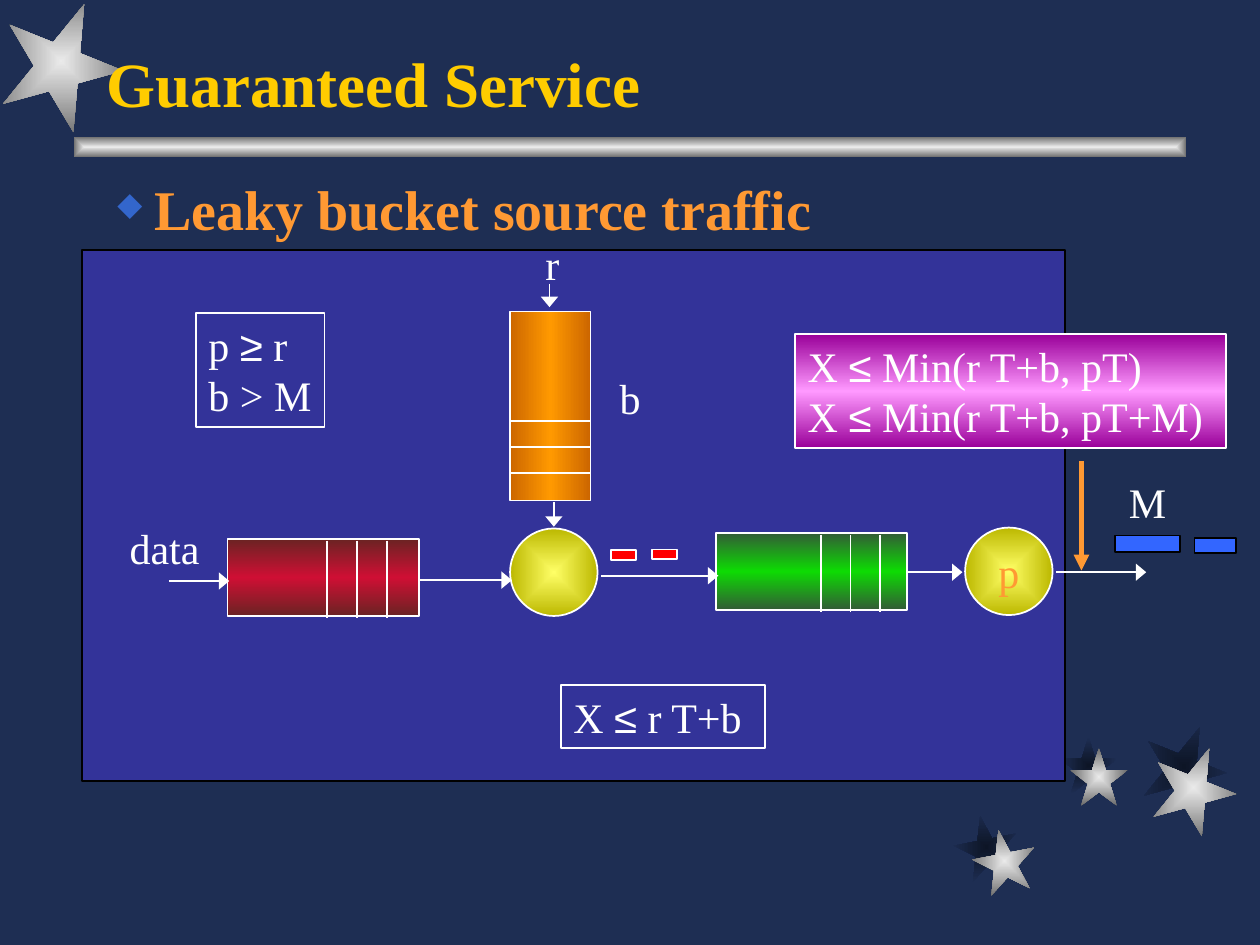
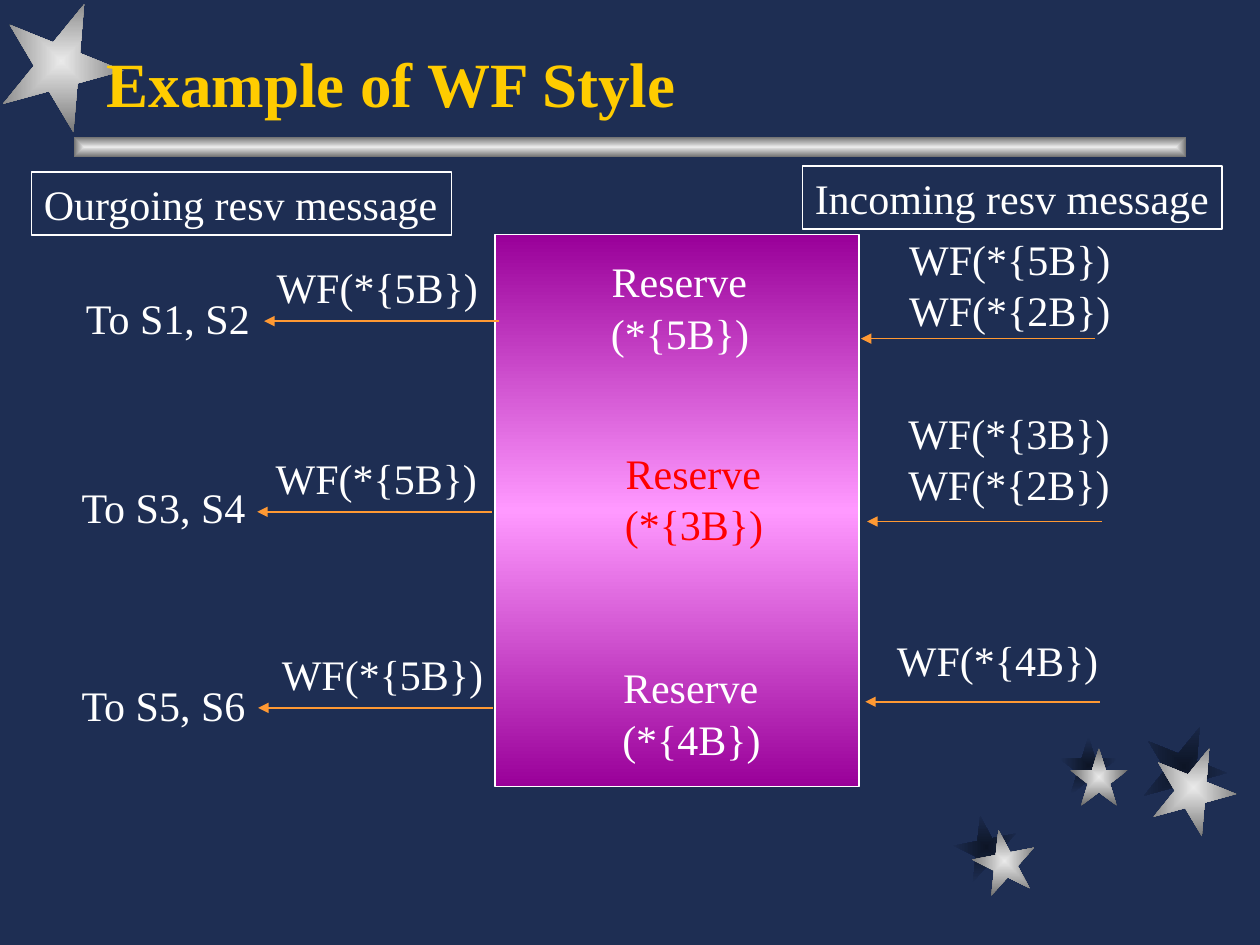
from itertools import groupby

from lxml import etree
from pptx import Presentation
from pptx.dml.color import RGBColor
from pptx.enum.shapes import MSO_CONNECTOR, MSO_SHAPE
from pptx.enum.text import MSO_ANCHOR, MSO_AUTO_SIZE, PP_ALIGN
from pptx.oxml import parse_xml
from pptx.oxml.ns import nsdecls, qn
from pptx.util import Pt

RECT, OVAL, STAR = MSO_SHAPE.RECTANGLE, MSO_SHAPE.OVAL, MSO_SHAPE.STAR_5_POINT
STRAIGHT = MSO_CONNECTOR.STRAIGHT
TOP, MIDDLE, BOTTOM = MSO_ANCHOR.TOP, MSO_ANCHOR.MIDDLE, MSO_ANCHOR.BOTTOM
LEFT, CENTER = PP_ALIGN.LEFT, PP_ALIGN.CENTER
GROW = MSO_AUTO_SIZE.SHAPE_TO_FIT_TEXT

NAVY, WHITE, BLACK = "1E2E53", "FFFFFF", "000000"
GOLD, ORANGE, RED, BLUE = "FFCC00", "FF9933", "FF0000", "3366FF"
SILVER, SHADE = ["EAEAEA", "6B6B6B"], ["0D1526", NAVY]
YELLOW = ["FFFF66", "BCB800"]
PURPLE = ["990099", "FF99FF", "990099"]
SERIF, SANS = "Times New Roman", "Arial"
SYMBOLS = "≤≥"


def rgb(color):
    return RGBColor.from_string(color)


def blend(item, colors, angle=None):
    """Gradient fill: linear at an angle, or from the centre out."""
    stops = "".join(
        f'<a:gs pos="{100000 * i // (len(colors) - 1)}"><a:srgbClr val="{c}"/></a:gs>'
        for i, c in enumerate(colors))
    if angle is None:
        way = ('<a:path path="rect"><a:fillToRect l="50000" t="50000" '
               'r="50000" b="50000"/></a:path>')
    else:
        way = f'<a:lin ang="{angle * 60000}" scaled="1"/>'
    item.fill.gradient()
    props = item._element.spPr
    props.replace(props.find(qn("a:gradFill")), parse_xml(
        f'<a:gradFill rotWithShape="0" {nsdecls("a")}><a:gsLst>{stops}</a:gsLst>{way}</a:gradFill>'))


def shape(slide, kind, box, fill=None, edge=None, angle=None, turn=0):
    item = slide.shapes.add_shape(kind, *map(Pt, box))
    item.shadow.inherit = False
    item.rotation = turn
    if fill is None:
        item.fill.background()
    elif isinstance(fill, list):
        blend(item, fill, angle)
    else:
        item.fill.solid()
        item.fill.fore_color.rgb = rgb(fill)
    if edge:
        item.line.color.rgb = rgb(edge)
        item.line.width = Pt(1)
    else:
        item.line.fill.background()
    return item


def write(item, lines, size=24, color=WHITE, bold=False, wrap=False,
          anchor=TOP, align=LEFT):
    frame = item.text_frame
    frame.word_wrap = wrap
    frame.vertical_anchor = anchor
    if anchor == TOP and not wrap:
        frame.auto_size = GROW
    for i, line in enumerate(lines):
        para = frame.add_paragraph() if i else frame.paragraphs[0]
        para.alignment = align
        for sign, part in groupby(line, lambda c: c in SYMBOLS):
            run = para.add_run()
            run.text = "".join(part)
            run.font.name = SANS if sign else SERIF
            run.font.size = Pt(size)
            run.font.bold = bold
            run.font.color.rgb = rgb(color)
    return frame


def label(slide, box, *lines, **style):
    return write(slide.shapes.add_textbox(*map(Pt, box)), lines, **style)


def frame_label(slide, box, *lines, fill=None, angle=None):
    write(shape(slide, RECT, box, fill, WHITE, angle), lines)


def line(slide, x1, y1, x2, y2, color=WHITE, width=1, tip=None, span="med"):
    item = slide.shapes.add_connector(STRAIGHT, Pt(x1), Pt(y1), Pt(x2), Pt(y2))
    item.line.color.rgb = rgb(color)
    item.line.width = Pt(width)
    if tip:
        etree.SubElement(item.line._get_or_add_ln(), qn(f"a:{tip}"),
                         type="triangle", w=span, len="med")
    etree.SubElement(item._element.spPr, qn("a:effectLst"))


def base(deck, title):
    """Background, stars, bar and title that every slide has."""
    slide = deck.slides.add_slide(deck.slide_layouts[6])
    slide.background.fill.solid()
    slide.background.fill.fore_color.rgb = rgb(NAVY)
    stars = [(SHADE, 545.5, 466, 36, 349), (SHADE, 605.5, 421, 33, 0),
             (SHADE, 652.5, 414, 48, 22), (SILVER, 556, 474, 36, 349),
             (SILVER, 611.5, 427.5, 33, 0), (SILVER, 658, 426, 48, 22),
             (SILVER, 0, 0, 70, 22)]
    for fill, x, y, size, turn in stars:
        shape(slide, STAR, (x, y, size, size), fill, turn=turn)
    shape(slide, RECT, (42, 78, 636, 12), SILVER)
    label(slide, (54, 18, 612, 54), title, size=36, color=GOLD, bold=True,
          wrap=True, anchor=BOTTOM)
    return slide


def bullet(slide, box, text):
    frame = label(slide, box, text, size=32, color=ORANGE, bold=True, wrap=True)
    props = frame.paragraphs[0]._p.get_or_add_pPr()
    props.set("marL", str(Pt(27)))
    props.set("indent", str(Pt(-21)))
    color = etree.SubElement(props, qn("a:buClr"))
    etree.SubElement(color, qn("a:srgbClr"), val="3366CC")
    etree.SubElement(props, qn("a:buSzPct"), val="58000")
    etree.SubElement(props, qn("a:buChar"), char="◆")


def queue(slide, x, y, fill, first):
    """Horizontal buffer with three packet marks."""
    shape(slide, RECT, (x, y, 109.5, 44), fill, WHITE, 90)
    for i in range(3):
        mark = x + first + 17 * i
        line(slide, mark, y + 1, mark, y + 45)


def bucket(slide, x, y):
    shape(slide, RECT, (x, y, 46, 108), ["CC6600", "FF9900", "CC6600"], WHITE, 0)
    for i in range(3):
        mark = y + 62.5 + 15 * i
        line(slide, x, mark, x + 46, mark)


def flow(slide, x, y, w, h):
    """Leaky bucket diagram on its panel."""
    shape(slide, RECT, (x, y, w, h), "333399", BLACK)

    # Buffers and servers
    queue(slide, x + 83, y + 165, ["6B2323", "CF0F34", "6B2323"], 57)
    queue(slide, x + 362, y + 161.5, ["335B36", "0DDB03", "335B36"], 60)
    shape(slide, OVAL, (x + 244.5, y + 159, 50, 50), YELLOW, WHITE)
    server = shape(slide, OVAL, (x + 504.5, y + 158.5, 50, 50), YELLOW, WHITE)
    write(server, ["p"], color=ORANGE, anchor=MIDDLE, align=CENTER)
    bucket(slide, x + 244.5, y + 35)

    # Arrows between the parts
    wires = [(49.5, 189, 84, 189), (193, 188.5, 245.5, 188.5),
             (296.5, 186, 363.5, 186), (471.5, 184, 503, 184),
             (556.5, 184, 608, 184), (269.5, 144, 269.5, 158),
             (267, 19, 267, 32.5)]
    for x1, y1, x2, y2 in wires:
        line(slide, x + x1, y + y1, x + x2, y + y2, tip="tailEnd", span="lg")
    line(slide, x + 571, y + 120.5, x + 571, y + 183, ORANGE, 3, "tailEnd")

    # Labels and formulas
    names = [("data", 20, 152, 58), ("r", 257.5, -10.5, 24),
             ("b", 300, 66.5, 28), ("M", 591, 126, 37)]
    for text, dx, dy, width in names:
        label(slide, (x + dx, y + dy, width, 36), text)
    frame_label(slide, (x + 273.5, y + 248.5, 116.5, 36), "X ≤ r T+b")
    frame_label(slide, (x + 407.5, y + 48, 246, 65), "X ≤ Min(r T+b, pT)",
                "X ≤ Min(r T+b, pT+M)", fill=PURPLE, angle=90)
    frame_label(slide, (x + 65, y + 36, 73.5, 65), "p ≥ r", "b > M")

    # Packets on the wires
    packets = [(590, 163, 37.5, 9.5, BLUE, BLACK), (635.5, 164.5, 24, 8.5, BLUE, BLACK),
               (325.5, 171, 14.5, 5.5, RED, WHITE), (302, 171.5, 14.5, 5.5, RED, WHITE)]
    for dx, dy, width, height, fill, edge in packets:
        shape(slide, RECT, (x + dx, y + dy, width, height), fill, edge)


def router(slide, x, y, w, h):
    """Reservation box with messages going out left and coming in right."""
    shape(slide, RECT, (x, y, w, h), PURPLE, WHITE, 90)
    frame_label(slide, (x - 265, y - 35.5, 240, 36), "Ourgoing resv message")
    frame_label(slide, (x + 175.5, y - 39, 240, 36), "Incoming resv message")

    # Place of each part: outgoing arrow, its label, target, reserve, incoming arrow, its label
    rows = [
        ("To S1, S2", "(*{5B})", WHITE, ["WF(*{5B})", "WF(*{2B})"],
         (-132, 49.5), (-132, 12), (-241, 29.5), (59.5, 8.5), (209, 59.5), (229.5, -4)),
        ("To S3, S4", "(*{3B})", RED, ["WF(*{3B})", "WF(*{2B})"],
         (-136, 158.5), (-132.5, 121), (-243.5, 137.5), (67.5, 118), (212.5, 164), (229, 95.5)),
        ("To S5, S6", "(*{4B})", WHITE, ["WF(*{4B})"],
         (-135.5, 270.5), (-129, 233), (-243.5, 251), (66, 240.5), (211.5, 267), (222.5, 225)),
    ]
    for goal, rate, color, asks, *spots in rows:
        out, sent, to, keep, inward, got = [(x + dx, y + dy) for dx, dy in spots]
        for left, top in (out, inward):
            line(slide, left, top, left + 134, top, ORANGE, tip="headEnd")
        label(slide, (*sent, 130, 36), "WF(*{5B})")
        label(slide, (*to, 109.5, 36), goal)
        label(slide, (*keep, 93.5, 36), "Reserve", color=color)
        label(slide, (keep[0] - 0.5, keep[1] + 29.5, 95, 36), rate, color=color)
        label(slide, (*got, 130, 7 + 29 * len(asks)), *asks)


def main():
    deck = Presentation()
    deck.slide_width, deck.slide_height = Pt(720), Pt(540)

    slide = base(deck, "Guaranteed Service")
    bullet(slide, (54, 96, 612, 54), "Leaky bucket source traffic")
    flow(slide, 47, 143, 561.5, 303.5)

    router(base(deck, "Example of WF Style"), 283, 134, 208, 315.5)
    deck.save("out.pptx")


if __name__ == "__main__":
    main()
